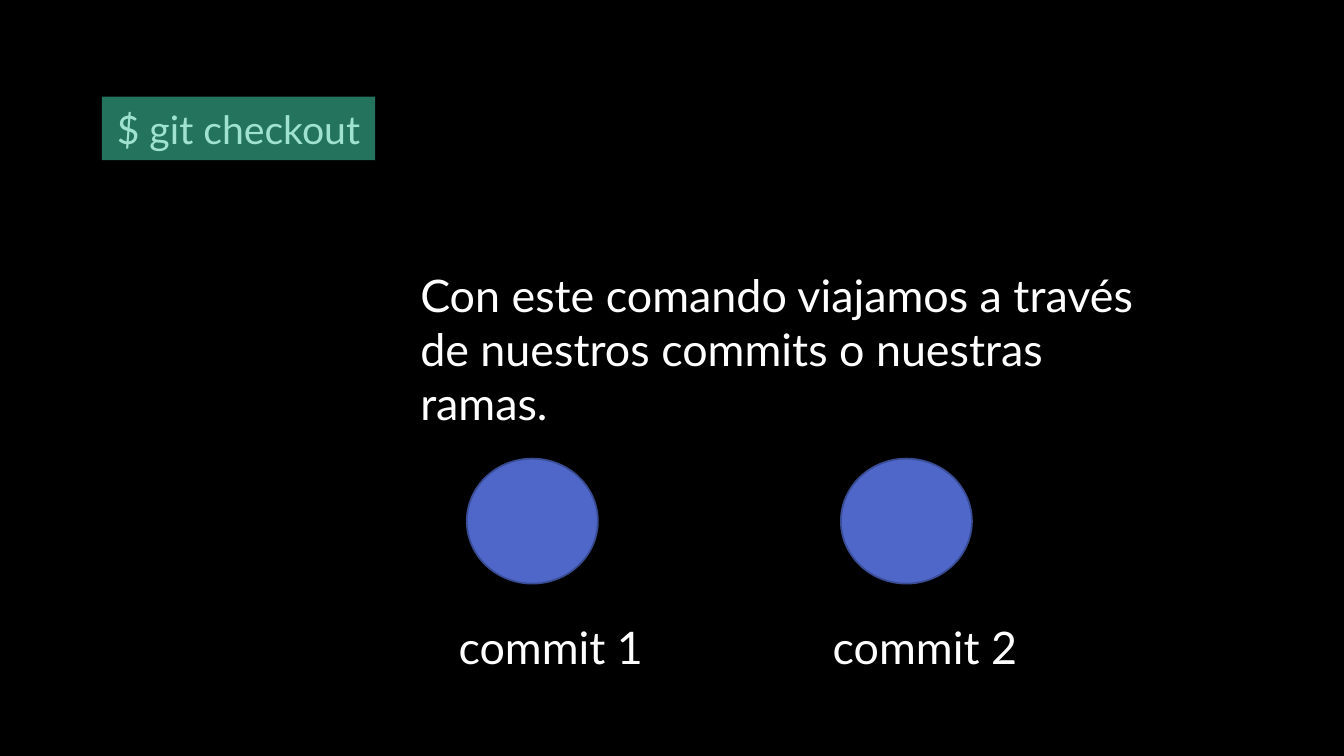
from pptx import Presentation
from pptx.dml.color import RGBColor
from pptx.enum.shapes import MSO_SHAPE
from pptx.enum.text import MSO_ANCHOR, PP_ALIGN
from pptx.util import Inches, Pt

BLACK = RGBColor(0x00, 0x00, 0x00)
WHITE = RGBColor(0xFF, 0xFF, 0xFF)
GREEN = RGBColor(0x23, 0x73, 0x5D)
MINT = RGBColor(0x9E, 0xE2, 0xCF)
BLUE = RGBColor(0x4E, 0x67, 0xC8)
NAVY = RGBColor(0x3A, 0x4C, 0x94)
RECTANGLE = MSO_SHAPE.RECTANGLE
CIRCLE = MSO_SHAPE.FLOWCHART_CONNECTOR
MIDDLE = MSO_ANCHOR.MIDDLE
LEFT, CENTER = PP_ALIGN.LEFT, PP_ALIGN.CENTER


def write(box, text, size=32, color=WHITE, align=LEFT, font="Lato"):
    box.text_frame.word_wrap = True
    para = box.text_frame.paragraphs[0]
    para.alignment = align
    span = para.add_run()
    span.text = text
    span.font.name = font
    span.font.size = Pt(size)
    span.font.color.rgb = color


class CommandSlide:
    def __init__(self, deck):
        self.page = deck.slides.add_slide(deck.slide_layouts[6])
        self.page.background.fill.solid()
        self.page.background.fill.fore_color.rgb = BLACK

    def shape(self, kind, left, top, width, height, fill, line=None):
        shape = self.page.shapes.add_shape(
            kind, Inches(left), Inches(top), Inches(width), Inches(height))
        shape.shadow.inherit = False
        shape.fill.solid()
        shape.fill.fore_color.rgb = fill
        if line is None:
            shape.line.fill.background()
        else:
            shape.line.color.rgb = line
            shape.line.width = Pt(1.25)
        return shape

    def command(self, text, left, top, width, height):
        box = self.shape(RECTANGLE, left, top, width, height, GREEN)
        box.text_frame.vertical_anchor = MIDDLE
        write(box, text, size=28, color=MINT, align=CENTER)

    def text(self, text, left, top, width, height):
        box = self.page.shapes.add_textbox(
            Inches(left), Inches(top), Inches(width), Inches(height))
        write(box, text)

    def commit(self, label, left):
        self.text(label, left, 6.1, 2.14, 0.64)
        self.shape(CIRCLE, left + 0.18, 4.55, 1.3, 1.24, BLUE, NAVY)


def main():
    deck = Presentation()
    deck.slide_width = Inches(13.33)
    deck.slide_height = Inches(7.5)
    slide = CommandSlide(deck)
    slide.command("$ git checkout", 1.01, 0.96, 2.71, 0.63)
    slide.text("Con este comando viajamos a través de nuestros commits "
               "o nuestras ramas.", 4.07, 2.61, 7.57, 1.72)
    for number in (1, 2):
        slide.commit(f"commit {number}", 4.45 + 3.71 * (number - 1))
    deck.save("out.pptx")


if __name__ == "__main__":
    main()
